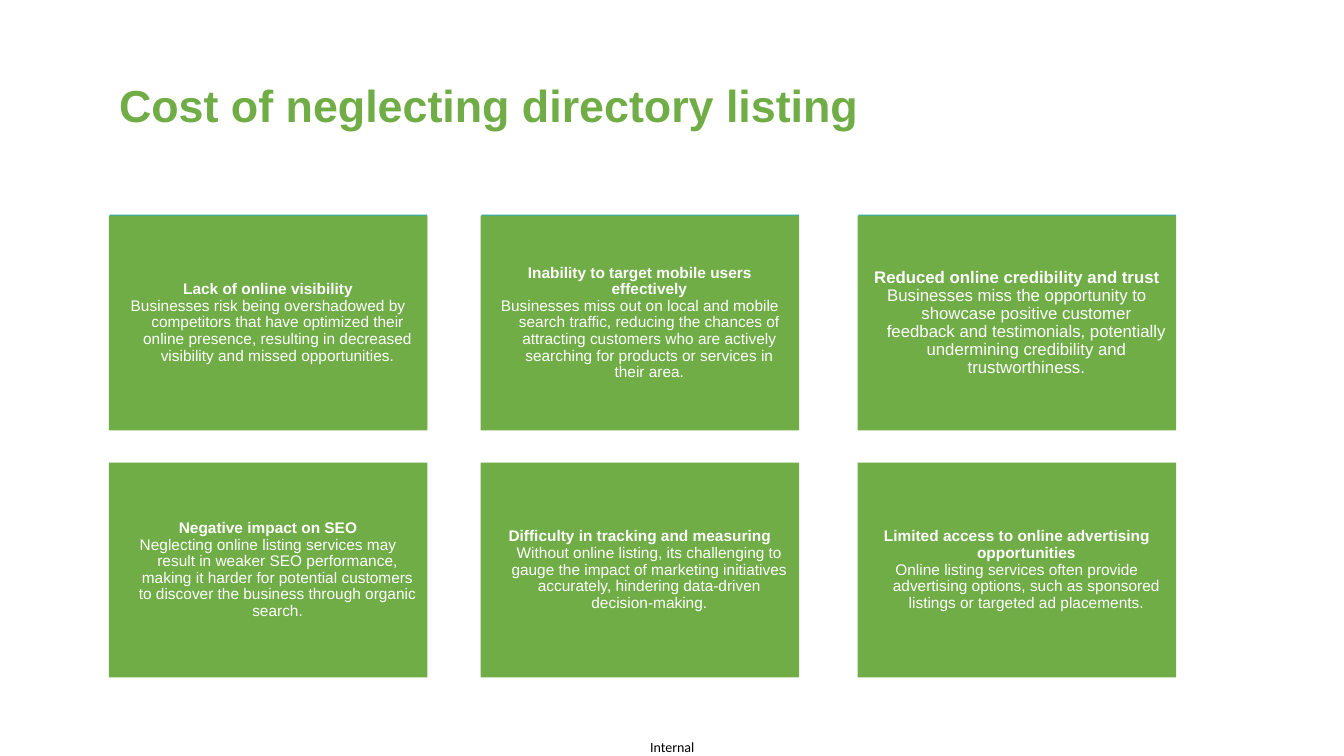
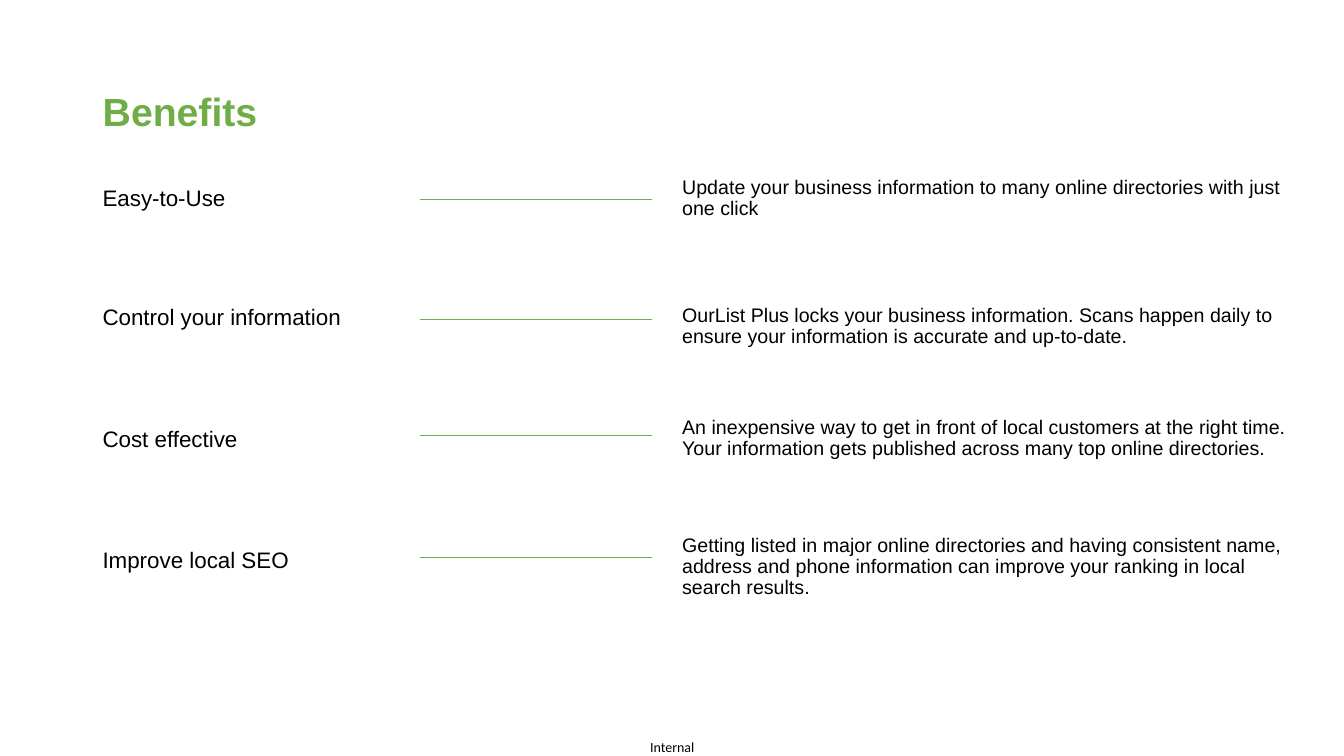
from dataclasses import dataclass

from lxml import etree
from pptx import Presentation
from pptx.dml.color import RGBColor as Rgb
from pptx.enum import shapes, text
from pptx.oxml import ns
from pptx.util import Pt


# Colours, fonts and type sizes
@dataclass(frozen=True)
class Theme:
    green: Rgb = Rgb(0x70, 0xAD, 0x47)
    teal: Rgb = Rgb(0x2C, 0xAD, 0xB2)
    white: Rgb = Rgb(255, 255, 255)
    black: Rgb = Rgb(0, 0, 0)
    face: str = "Arial"
    foot_face: str = "Calibri"
    foot: float = 10
    body: float = 14
    label: float = 16
    rule: float = 0.5
    spacing: float = 0.9
    hang: float = 13.5


THEME = Theme()
LEFT, CENTER = text.PP_ALIGN.LEFT, text.PP_ALIGN.CENTER
TOP, MIDDLE = text.MSO_ANCHOR.TOP, text.MSO_ANCHOR.MIDDLE

# Cards: size, then paragraphs made of (text, bold) runs
CARDS = [
    (11, [[("Lack of online visibility", True)],
          [("Businesses risk being overshadowed by competitors that have optimized "
            "their online presence, resulting in decreased visibility and missed "
            "opportunities.", False)]]),
    (11, [[("Inability to target mobile users effectively", True)],
          [("Businesses miss out on local and mobile search traffic, reducing the "
            "chances of attracting customers who are actively searching for products "
            "or services in their area.", False)]]),
    (12, [[("Reduced online credibility and trust", True)],
          [("Businesses miss the opportunity to showcase positive customer feedback "
            "and testimonials, potentially undermining credibility and "
            "trustworthiness.", False)]]),
    (11, [[("Negative impact on SEO", True)],
          [("Neglecting online listing services may result in weaker SEO "
            "performance, making it harder for potential customers to discover the "
            "business through organic search.", False)]]),
    (11, [[("Difficulty in tracking and measuring ", True),
           ("Without online listing, its challenging to gauge the impact of "
            "marketing initiatives accurately, hindering data-driven "
            "decision-making.", False)]]),
    (11, [[("Limited access to online advertising opportunities", True)],
          [("Online listing services often provide advertising options, such as "
            "sponsored listings or targeted ad placements.", False)]]),
]
COLS = (77.8, 343.4, 612.7)
ROWS = (154, 330.5)
CARD_W, CARD_H = 227.5, 153.4

# Benefits: label, its top, rule height, description top, description
PERKS = [
    ("Easy-to-Use", 130.3, 142.6, 123.1,
     "Update your business information to many online directories with just one click"),
    ("Control your information", 215.3, 228.2, 214.7,
     "OurList Plus locks your business information. Scans happen daily to ensure "
     "your information is accurate and up-to-date."),
    ("Cost effective", 302.4, 311, 294.5,
     "An inexpensive way to get in front of local customers at the right time. "
     "Your information gets published across many top online directories."),
    ("Improve local SEO", 388.8, 398.2, 379,
     "Getting listed in major online directories and having consistent name, "
     "address and phone information can improve your ranking in local search results."),
]


def apply(target, values):
    for name, value in values.items():
        setattr(target, name, value)


def write(frame, paras, size, color, face=THEME.face, align=LEFT, anchor=TOP,
          spacing=THEME.spacing, hang=0):
    apply(frame, {"word_wrap": True, "vertical_anchor": anchor,
                  "auto_size": text.MSO_AUTO_SIZE.NONE})
    for index, runs in enumerate(paras):
        para = frame.add_paragraph() if index else frame.paragraphs[0]
        if hang:
            props = para._p.get_or_add_pPr()
            props.set("marL", str(Pt(hang)))
            props.set("indent", str(Pt(-hang)))
        apply(para, {"alignment": align, "line_spacing": spacing})
        for words, bold in runs:
            run = para.add_run()
            run.text = words
            apply(run.font, {"name": face, "size": Pt(size), "bold": bold})
            run.font.color.rgb = color


def box(slide, area, words, size, **style):
    item = slide.shapes.add_textbox(*map(Pt, area))
    write(item.text_frame, [[(words, False)]], size, THEME.black, **style)
    return item


def block(slide, area, fill):
    item = slide.shapes.add_shape(shapes.MSO_SHAPE.RECTANGLE, *map(Pt, area))
    item.shadow.inherit = False
    item.fill.solid()
    item.fill.fore_color.rgb = fill
    item.line.fill.background()
    return item


def rule(slide, left, right, y):
    line = slide.shapes.add_connector(
        shapes.MSO_CONNECTOR.STRAIGHT, Pt(left), Pt(y), Pt(right), Pt(y))
    line.line.color.rgb = THEME.green
    line.line.width = Pt(THEME.rule)
    etree.SubElement(line.element.spPr, ns.qn("a:effectLst"))


def start(deck, words, left, top, size):
    slide = deck.slides.add_slide(deck.slide_layouts.get_by_name("Title Only"))
    title = slide.shapes.title
    apply(title, {"left": Pt(left), "top": Pt(top),
                  "width": Pt(828), "height": Pt(104.4)})
    write(title.text_frame, [[(words, True)]], size, THEME.green, anchor=MIDDLE)
    return slide


# Shared footer, moved from a slide to the master
def footer(deck, slide):
    item = box(slide, (464.4, 527.8, 36.7, 12.2), "Internal", THEME.foot,
               face=THEME.foot_face, spacing=1.0)
    sides = ("left", "top", "right", "bottom")
    apply(item.text_frame, {f"margin_{side}": 0 for side in sides})
    apply(item.text_frame, {"word_wrap": False,
                            "auto_size": text.MSO_AUTO_SIZE.SHAPE_TO_FIT_TEXT})
    deck.slide_master.element.cSld.spTree.append(item.element)


def costs(deck):
    slide = start(deck, "Cost of neglecting directory listing", 77.8, 25.2, 32)
    for index, (size, paras) in enumerate(CARDS):
        row, col = divmod(index, len(COLS))
        left, top = COLS[col], ROWS[row]
        if row == 0:  # thin teal edge above the first row
            block(slide, (left + 0.5, top - 0.7, CARD_W - 0.7, CARD_H), THEME.teal)
        card = block(slide, (left, top, CARD_W, CARD_H), THEME.green)
        write(card.text_frame, paras, size, THEME.white, align=CENTER,
              anchor=MIDDLE, hang=THEME.hang)
    return slide


def perks(deck):
    slide = start(deck, "Benefits", 66.2, 28.8, 28)
    for label, top, y, body_top, body in PERKS:
        box(slide, (66.2, top, 299, 41), label, THEME.label)
        rule(slide, 300.2, 465.8, y)
        box(slide, (480.2, body_top, 458.6, 57), body, THEME.body)


def main():
    deck = Presentation()
    apply(deck, {"slide_width": Pt(960), "slide_height": Pt(540)})
    footer(deck, costs(deck))
    perks(deck)
    deck.save("out.pptx")


if __name__ == "__main__":
    main()
